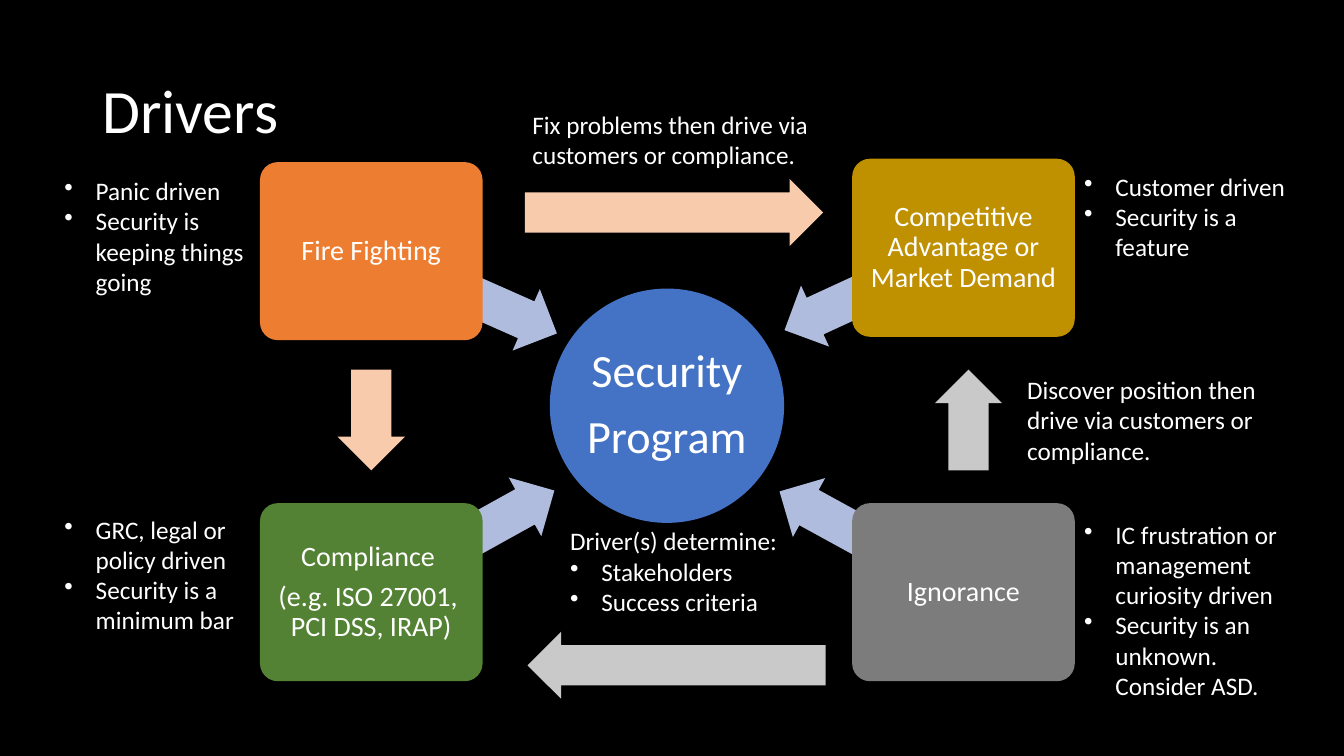
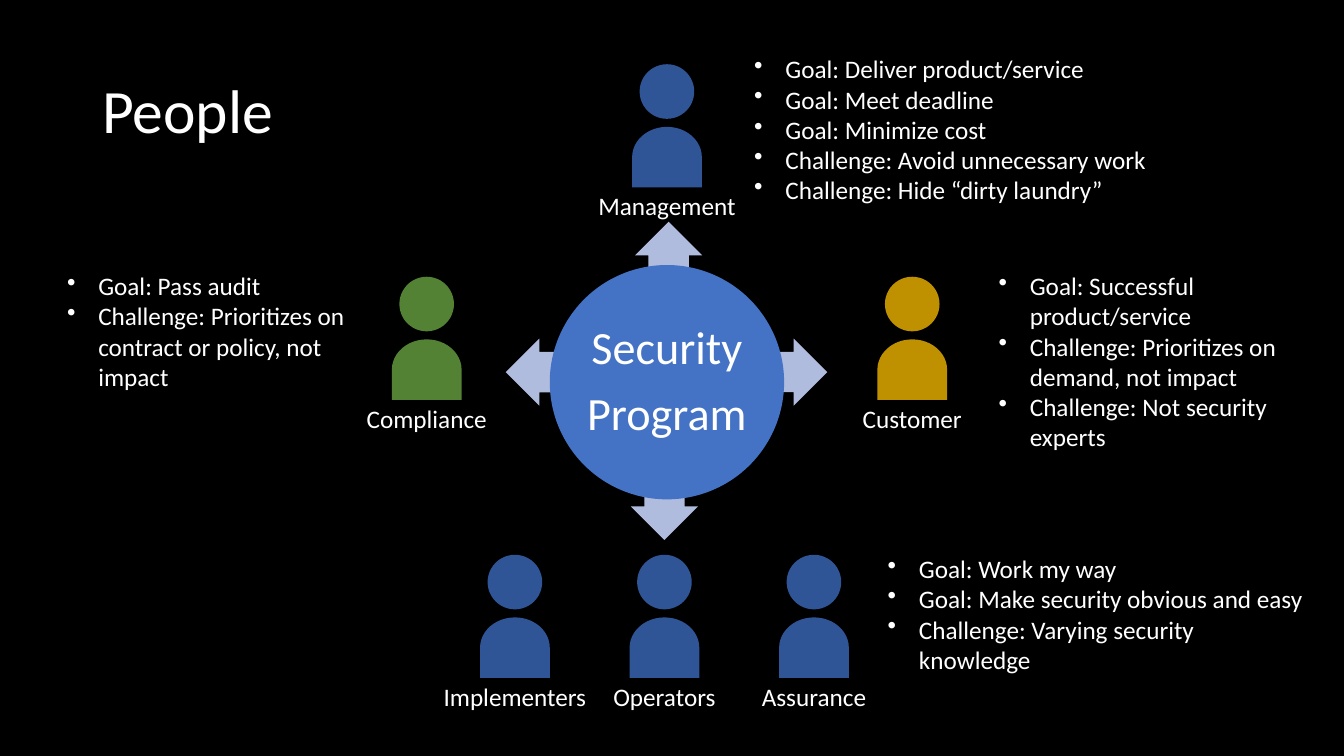
import math

import pptx
import pptx.dml.color
import pptx.enum.shapes
import pptx.enum.text
import pptx.oxml
import pptx.oxml.ns
import pptx.util

RGB = pptx.dml.color.RGBColor
SHAPE = pptx.enum.shapes.MSO_SHAPE
ALIGN = pptx.enum.text.PP_ALIGN
ANCHOR = pptx.enum.text.MSO_ANCHOR
AUTO_SIZE = pptx.enum.text.MSO_AUTO_SIZE

BLACK = RGB(0x00, 0x00, 0x00)
WHITE = RGB(0xFF, 0xFF, 0xFF)
BLUE = RGB(0x44, 0x72, 0xC4)
NAVY = RGB(0x2F, 0x55, 0x97)
PALE_BLUE = RGB(0xB0, 0xBC, 0xDE)
ORANGE = RGB(0xED, 0x7D, 0x31)
PEACH = RGB(0xF8, 0xCB, 0xAD)
GREEN = RGB(0x54, 0x82, 0x35)
GOLD = RGB(0xBF, 0x90, 0x00)
GREY = RGB(0x7C, 0x7C, 0x7C)
SILVER = RGB(0xC9, 0xC9, 0xC9)

FONT = "Calibri"
TITLE_SIZE, HUB_SIZE, BOX_SIZE, NOTE_SIZE = 44, 33, 20, 18

# The slide is a grid of 16 columns by 9 rows; all lengths count its square cells.
COLUMNS, ROWS = 16, 9
SLIDE_WIDTH = pptx.util.Inches(13.333)
HUB_X, HUB_DIAMETER = 7.94, 2.79
BOX_WIDTH, BOX_HEIGHT = 2.65, 2.12
ARROW_BREADTH = 0.8
SIDE_NOTE_WIDTH, WIDE_NOTE_WIDTH = 2.93, 4.02
NOTE_LINE, NOTE_PADDING = 0.36, 0.12
TEAM_X, TEAM_GAP = 6.13, 1.78


def cells(count):
    return round(SLIDE_WIDTH * count / COLUMNS)


def add_text(paragraph, text, size):
    """Add one run per line, with line breaks between them."""
    for number, line in enumerate(text.split("\n")):
        if number:
            paragraph.add_line_break()
        run = paragraph.add_run()
        run.text = line
        run.font.name = FONT
        run.font.size = pptx.util.Pt(size)
        run.font.color.rgb = WHITE


def add_paragraphs(frame, texts, size, align=ALIGN.LEFT):
    paragraphs = [frame.paragraphs[0]]
    paragraphs += [frame.add_paragraph() for _ in texts[1:]]
    for paragraph, text in zip(paragraphs, texts):
        paragraph.alignment = align
        add_text(paragraph, text, size)
    return paragraphs


def add_bullet(paragraph):
    properties = paragraph._p.get_or_add_pPr()
    indent = pptx.util.Inches(0.31)
    properties.set("marL", str(indent))
    properties.set("indent", str(-indent))
    bullet = pptx.oxml.parse_xml(
        f'<a:buChar {pptx.oxml.ns.nsdecls("a")} char="•"/>')
    properties.append(bullet)


def add_text_area(shapes, left, top, width, height):
    area = shapes.add_textbox(*map(cells, (left, top, width, height)))
    area.text_frame.word_wrap = True
    return area.text_frame


def add_centred(shapes, kind, centre, width, height, colour):
    """Add a plain filled shape around its centre point."""
    x, y = centre
    figure = shapes.add_shape(
        kind, *map(cells, (x - width / 2, y - height / 2, width, height)))
    figure.shadow.inherit = False
    figure.fill.solid()
    figure.fill.fore_color.rgb = colour
    figure.line.fill.background()
    return figure


def add_caption(figure, texts, size):
    frame = figure.text_frame
    frame.word_wrap = True
    frame.vertical_anchor = ANCHOR.MIDDLE
    frame.margin_left = frame.margin_right = 0
    frame.margin_top = frame.margin_bottom = 0
    for paragraph in add_paragraphs(frame, texts, size, ALIGN.CENTER):
        paragraph.line_spacing = 0.9
        paragraph.space_after = pptx.util.Pt(0.35 * size)


def add_hub(slide, y):
    hub = add_centred(slide.shapes, SHAPE.OVAL, (HUB_X, y),
                      HUB_DIAMETER, HUB_DIAMETER, BLUE)
    add_caption(hub, ["Security", "Program"], HUB_SIZE)


def add_box(slide, centre, colour, texts):
    box = add_centred(slide.shapes, SHAPE.ROUNDED_RECTANGLE, centre,
                      BOX_WIDTH, BOX_HEIGHT, colour)
    box.adjustments[0] = 0.1
    add_caption(box, texts, BOX_SIZE)


def add_arrow(slide, tail, tip, colour):
    run, rise = tip[0] - tail[0], tip[1] - tail[1]
    middle = (tail[0] + run / 2, tail[1] + rise / 2)
    arrow = add_centred(slide.shapes, SHAPE.RIGHT_ARROW, middle,
                        math.hypot(run, rise), ARROW_BREADTH, colour)
    arrow.adjustments[0] = 0.6
    arrow.adjustments[1] = 0.5
    arrow.rotation = math.degrees(math.atan2(rise, run)) % 360


def add_note(slide, left, top, width, lines, bullets=(), lead=()):
    """Add plain lead lines, then bullets, in an area that many lines tall."""
    frame = add_text_area(slide.shapes, left, top, width,
                          lines * NOTE_LINE + NOTE_PADDING)
    frame.auto_size = AUTO_SIZE.SHAPE_TO_FIT_TEXT
    paragraphs = add_paragraphs(frame, [*lead, *bullets], NOTE_SIZE)
    for paragraph in paragraphs[len(lead):]:
        add_bullet(paragraph)


def add_person(slide, x, top, colour, role):
    person = slide.shapes.add_group_shape().shapes
    body = add_centred(person, SHAPE.FLOWCHART_DELAY, (x, top + 1.11),
                       0.72, 0.83, colour)
    body.rotation = 270
    add_centred(person, SHAPE.FLOWCHART_CONNECTOR, (x, top + 0.33),
                0.65, 0.65, colour)
    label = add_text_area(person, x - 1, top + 1.45, 2, 0.48)
    add_paragraphs(label, [role], NOTE_SIZE, ALIGN.CENTER)


def add_titled_slide(deck, title):
    slide = deck.slides.add_slide(deck.slide_layouts[6])
    frame = add_text_area(slide.shapes, 1.1, 0.48, 13.8, 1.74)
    frame.vertical_anchor = ANCHOR.MIDDLE
    add_paragraphs(frame, [title], TITLE_SIZE)[0].line_spacing = 0.9
    return slide


def build_drivers(deck):
    slide = add_titled_slide(deck, "Drivers")
    add_hub(slide, 4.83)

    left, right = 4.42, 11.47
    drivers = [
        ((left, 7.05), (6.6, 5.84), GREEN,
         ["Compliance ", "(e.g. ISO 27001, \nPCI DSS, IRAP)"]),
        ((left, 2.99), (6.63, 3.97), ORANGE, ["Fire Fighting"]),
        ((right, 2.95), (9.34, 3.93), GOLD,
         ["Competitive Advantage or Market Demand"]),
        ((right, 7.05), (9.28, 5.85), GREY, ["Ignorance"]),
    ]
    for centre, tip, colour, texts in drivers:
        add_arrow(slide, centre, tip, PALE_BLUE)
        add_box(slide, centre, colour, texts)

    transitions = [
        ((9.83, 7.92), (6.28, 7.92), SILVER),
        ((6.25, 2.53), (9.8, 2.53), PEACH),
        ((left, 4.4), (left, 5.6), PEACH),
        ((11.53, 5.6), (11.53, 4.4), SILVER),
    ]
    for tail, tip, colour in transitions:
        add_arrow(slide, tail, tip, colour)

    outer_left, outer_right = 0.65, 12.79
    traits = [
        (outer_right, 1.98, 3, ["Customer driven", "Security is a feature"]),
        (outer_left, 6.06, 4,
         ["GRC, legal or policy driven", "Security is a minimum bar"]),
        (outer_left, 2.03, 4,
         ["Panic driven", "Security is \nkeeping things going"]),
        (outer_right, 6.12, 6,
         ["IC frustration or management curiosity driven",
          "Security is an unknown. Consider ASD."]),
    ]
    for x, top, lines, bullets in traits:
        add_note(slide, x, top, SIDE_NOTE_WIDTH, lines, bullets)
    add_note(slide, 6.67, 6.2, SIDE_NOTE_WIDTH, 3,
             ["Stakeholders", "Success criteria"], ["Driver(s) determine:"])
    add_note(slide, 12.11, 4.4, 3.2, 3, lead=[
        "Discover position then drive via customers or compliance."])
    add_note(slide, 6.22, 1.24, WIDE_NOTE_WIDTH, 2, lead=[
        "Fix problems then drive via customers or compliance."])


def build_people(deck):
    slide = add_titled_slide(deck, "People")
    spokes = [
        ((8.8, 4.43), (9.85, 4.43)),
        ((7.08, 4.43), (6.02, 4.43)),
        ((7.91, 5.38), (7.91, 6.43)),
        ((7.96, 3.7), (7.96, 2.64)),
    ]
    for tail, tip in spokes:
        add_arrow(slide, tail, tip, PALE_BLUE)
    add_hub(slide, 4.55)

    add_person(slide, 5.08, 3.29, GREEN, "Compliance")
    add_person(slide, 10.86, 3.29, GOLD, "Customer")
    add_person(slide, HUB_X, 0.76, NAVY, "Management")
    for place, role in enumerate(["Implementers", "Operators", "Assurance"]):
        add_person(slide, TEAM_X + place * TEAM_GAP, 6.6, NAVY, role)

    add_note(slide, 8.86, 0.58, 5.94, 5, [
        "Goal: Deliver product/service",
        "Goal: Meet deadline",
        "Goal: Minimize cost",
        "Challenge: Avoid unnecessary work",
        "Challenge: Hide “dirty laundry”"])
    add_note(slide, 10.45, 6.53, 5.23, 4, [
        "Goal: Work my way",
        "Goal: Make security obvious and easy",
        "Challenge: Varying security knowledge"])
    add_note(slide, 11.77, 3.16, WIDE_NOTE_WIDTH, 6, [
        "Goal: Successful product/service",
        "Challenge: Prioritizes on demand, not impact",
        "Challenge: Not security experts"])
    add_note(slide, 0.68, 3.16, WIDE_NOTE_WIDTH, 4, [
        "Goal: Pass audit",
        "Challenge: Prioritizes on contract or policy, not impact"])


def main():
    deck = pptx.Presentation()
    deck.slide_width = SLIDE_WIDTH
    deck.slide_height = cells(ROWS)
    backdrop = deck.slide_master.background.fill
    backdrop.solid()
    backdrop.fore_color.rgb = BLACK
    build_drivers(deck)
    build_people(deck)
    deck.save("out.pptx")


if __name__ == "__main__":
    main()
